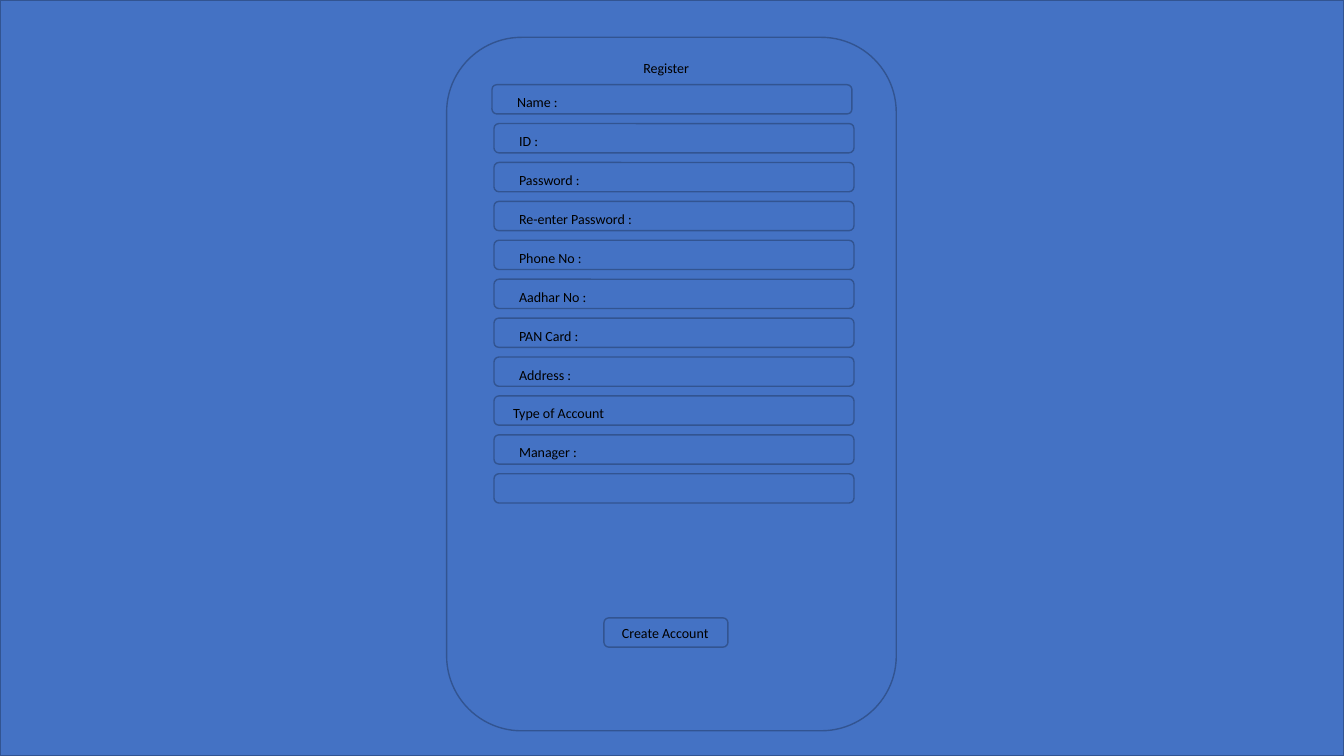
from pptx import Presentation
from pptx.dml.color import RGBColor
from pptx.enum.shapes import MSO_SHAPE
from pptx.enum.text import MSO_ANCHOR, MSO_AUTO_SIZE, PP_ALIGN
from pptx.util import Inches, Pt

HEADING = "Register"
BUTTON = "Create Account"
# label, label width, box left, label indent
FIELDS = [
    ("Name :", 0.66, 4.88, 0.15),
    ("ID :", 0.40, 4.9, 0.15),
    ("Password :", 0.85, 4.9, 0.15),
    ("Re-enter Password :", 1.37, 4.9, 0.15),
    ("Phone No :", 0.86, 4.9, 0.15),
    ("Aadhar No :", 0.94, 4.9, 0.15),
    ("PAN Card :", 0.84, 4.9, 0.15),
    ("Address :", 0.75, 4.9, 0.15),
    ("Type of Account", 1.12, 4.9, 0.09),
    ("Manager :", 0.85, 4.9, 0.15),
    ("", 0, 4.9, 0),
]
BLUE, OUTLINE, BLACK = "4472C4", "325491", "000000"
SLIDE_W, SLIDE_H = 13.33, 7.5
FIRST_ROW, LAST_ROW = 0.84, 4.7
ROW_PITCH = (LAST_ROW - FIRST_ROW) / (len(FIELDS) - 1)
FIELD_W, BOX_H, LABEL_H = 3.57, 0.29, 0.28


def color(hex_code):
    return RGBColor.from_string(hex_code)


def add_panel(shapes, kind, *frame):
    panel = shapes.add_shape(kind, *map(Inches, frame))
    panel.shadow.inherit = False
    panel.fill.solid()
    panel.fill.fore_color.rgb = color(BLUE)
    panel.line.color.rgb = color(OUTLINE)
    panel.line.width = Pt(1)


def write_label(holder, text, wrap=False):
    frame = holder.text_frame
    frame.text = text
    frame.word_wrap = wrap
    frame.auto_size = MSO_AUTO_SIZE.SHAPE_TO_FIT_TEXT
    frame.vertical_anchor = MSO_ANCHOR.TOP
    paragraph = frame.paragraphs[0]
    paragraph.alignment = PP_ALIGN.LEFT
    paragraph.font.name = "Calibri"
    paragraph.font.size = Pt(10)
    paragraph.font.color.rgb = color(BLACK)


def add_label(shapes, text, *frame, wrap=False):
    write_label(shapes.add_textbox(*map(Inches, frame)), text, wrap)


def main():
    deck = Presentation()
    deck.slide_width, deck.slide_height = Inches(SLIDE_W), Inches(SLIDE_H)
    slide = deck.slides.add_slide(deck.slide_layouts[5])
    shapes = slide.shapes
    heading = shapes.title

    add_panel(shapes, MSO_SHAPE.RECTANGLE, 0, 0, SLIDE_W, SLIDE_H)
    add_panel(shapes, MSO_SHAPE.ROUNDED_RECTANGLE, 4.43, 0.37, 4.46, 6.88)

    heading.left, heading.top = Inches(6.28), Inches(0.54)
    heading.width, heading.height = Inches(0.66), Inches(0.27)
    write_label(heading, HEADING, wrap=True)
    heading.element.getparent().append(heading.element)  # bring to front

    for row, (label, label_w, left, indent) in enumerate(FIELDS):
        top = FIRST_ROW + row * ROW_PITCH
        field = shapes.add_group_shape().shapes if label else shapes
        add_panel(field, MSO_SHAPE.ROUNDED_RECTANGLE, left, top, FIELD_W, BOX_H)
        if label:
            add_label(field, label, left + indent, top + 0.04, label_w, LABEL_H)

    button = shapes.add_group_shape().shapes
    add_panel(button, MSO_SHAPE.ROUNDED_RECTANGLE, 5.99, 6.13, 1.23, BOX_H)
    add_label(button, BUTTON, 6.07, 6.15, 1.07, 0.27, wrap=True)

    deck.save("out.pptx")


if __name__ == "__main__":
    main()
